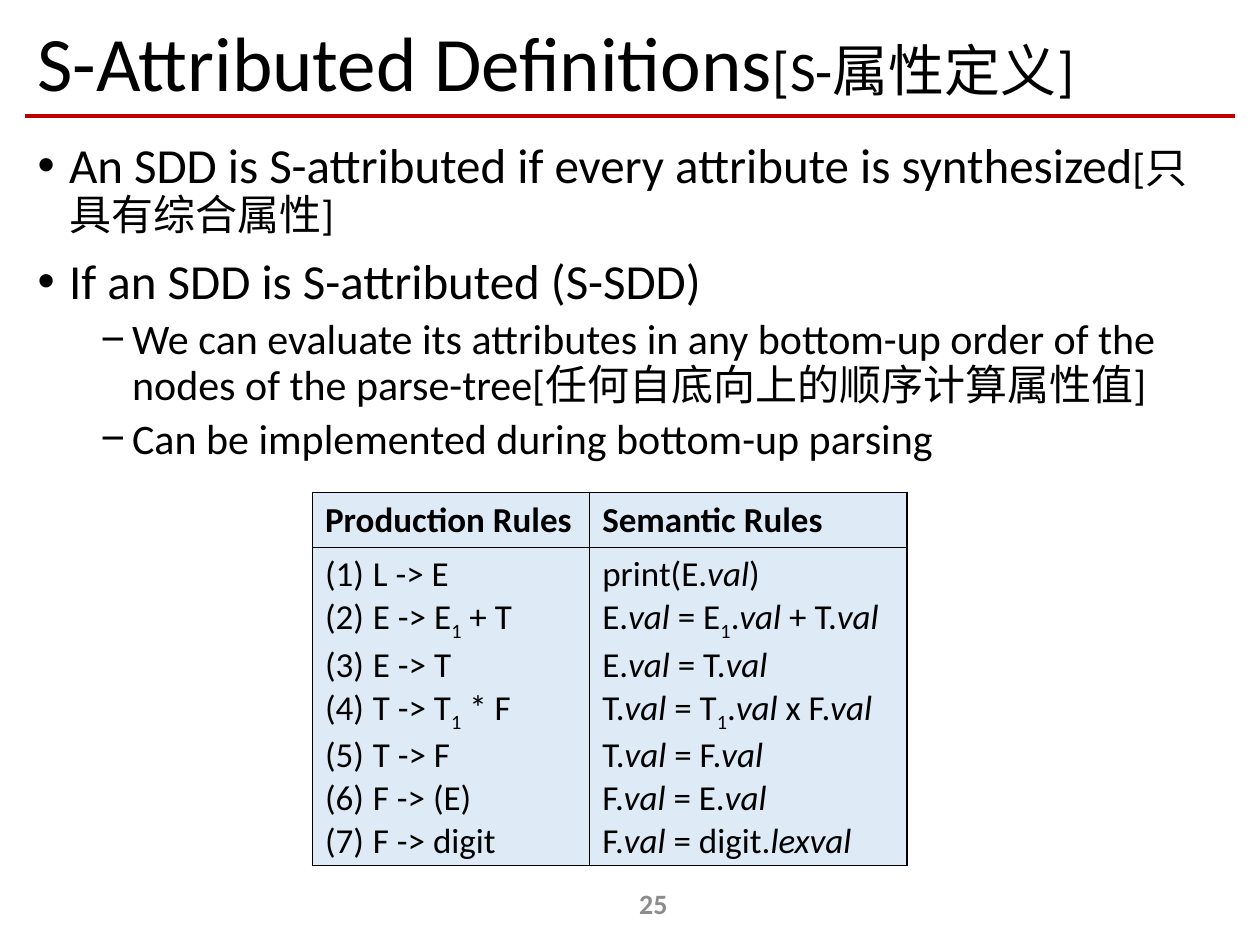
from lxml.etree import SubElement
from pptx import Presentation
from pptx.dml.color import RGBColor
from pptx.enum.shapes import MSO_CONNECTOR
from pptx.enum.text import MSO_ANCHOR, PP_ALIGN
from pptx.oxml.ns import qn
from pptx.util import Inches, Pt

BLACK = RGBColor(0x00, 0x00, 0x00)
RED = RGBColor(0xC0, 0x00, 0x00)
GRAY = RGBColor(0x8C, 0x8C, 0x8C)
PALE_BLUE = RGBColor(0xDE, 0xEB, 0xF7)
FONT = "Calibri"
MARGIN = 0.2
CONTENT_WIDTH = 9.61

BULLET = ("buChar", "char", "•")
DASH = ("buChar", "char", "−")
NUMBER = ("buAutoNum", "type", "arabicParenBoth")
POINT = dict(size=28, marker=BULLET, indent=0.25, hanging=0.25, before=10, spacing=0.9)
SUBPOINT = dict(size=24, marker=DASH, indent=0.75, hanging=0.25, before=5, spacing=0.9, level=1)

PRODUCTIONS = ["L -> E", "E -> E|_1| + T", "E -> T", "T -> T|_1| * F", "T -> F", "F -> (E)", "F -> digit"]
SEMANTICS = [
    "print(E.|/val|)",
    "E.|/val| = E|_1|.|/val| + T.|/val",
    "E.|/val| = T.|/val",
    "T.|/val| = T|_1|.|/val| x F.|/val",
    "T.|/val| = F.|/val",
    "F.|/val| = E.|/val",
    "F.|/val| = digit.|/lexval",
]


def add_run(paragraph, text, size, color, bold):
    run = paragraph.add_run()
    run.text = text.lstrip("_/")
    font = run.font
    font.name, font.size, font.bold = FONT, Pt(size), bold
    font.color.rgb = color
    if text.startswith("/"):
        font.italic = True
    if text.startswith("_"):
        run._r.get_or_add_rPr().set("baseline", "-25000")


def write_text(paragraph, text, size=20, color=BLACK, bold=False, align=None, spacing=None,
               before=None, marker=None, indent=0, hanging=0, level=0, note="", note_size=24):
    paragraph.level = level
    if align is not None:
        paragraph.alignment = align
    if spacing is not None:
        paragraph.line_spacing = spacing
    if before is not None:
        paragraph.space_before = Pt(before)
    if marker:
        tag, attribute, value = marker
        properties = paragraph._p.get_or_add_pPr()
        properties.set("marL", str(Inches(indent)))
        properties.set("indent", str(-Inches(hanging)))
        SubElement(properties, qn("a:buFont")).set("typeface", "Arial" if tag == "buChar" else "+mj-lt")
        SubElement(properties, qn(f"a:{tag}")).set(attribute, value)
    for piece in text.split("|"):
        add_run(paragraph, piece, size, color, bold)
    if note:
        add_run(paragraph, note, note_size, color, bold)


def write_paragraphs(frame, items):
    for index, (text, style) in enumerate(items):
        paragraph = frame.add_paragraph() if index else frame.paragraphs[0]
        write_text(paragraph, text, **style)


def add_text_box(slide, left, top, width, height, items, anchor=MSO_ANCHOR.TOP):
    shape = slide.shapes.add_textbox(Inches(left), Inches(top), Inches(width), Inches(height))
    shape.text_frame.word_wrap = True
    shape.text_frame.vertical_anchor = anchor
    write_paragraphs(shape.text_frame, items)


def add_rule(slide, left, right, top):
    line = slide.shapes.add_connector(
        MSO_CONNECTOR.STRAIGHT, Inches(left), Inches(top), Inches(right), Inches(top))
    line.line.color.rgb = RED
    line.line.width = Pt(2.5)
    SubElement(line._element.spPr, qn("a:effectLst"))


def format_cell(cell):
    cell.fill.solid()
    cell.fill.fore_color.rgb = PALE_BLUE
    properties = cell._tc.get_or_add_tcPr()
    for index, side in enumerate(("lnL", "lnR", "lnT", "lnB")):
        border = SubElement(properties, qn(f"a:{side}"), w=str(Pt(1)))
        fill = SubElement(border, qn("a:solidFill"))
        SubElement(fill, qn("a:srgbClr")).set("val", str(BLACK))
        properties.insert(index, border)


def add_rules_table(slide, left, top, widths, heights, columns):
    table = slide.shapes.add_table(
        len(heights), len(widths), Inches(left), Inches(top),
        Inches(sum(widths)), Inches(sum(heights))).table
    for row, height in zip(table.rows, heights):
        row.height = Inches(height)
    for index, (width, (heading, lines, style)) in enumerate(zip(widths, columns)):
        table.columns[index].width = Inches(width)
        contents = [[(heading, dict(bold=True))], [(line, style) for line in lines]]
        for row, items in enumerate(contents):
            cell = table.cell(row, index)
            format_cell(cell)
            write_paragraphs(cell.text_frame, items)


def main():
    presentation = Presentation()
    presentation.slide_width, presentation.slide_height = Inches(10), Inches(7.5)
    slide = presentation.slides.add_slide(presentation.slide_layouts[6])
    add_rule(slide, MARGIN, 10 - MARGIN, 0.92)
    add_text_box(slide, MARGIN, 0.13, CONTENT_WIDTH, 0.79, [
        ("S-Attributed Definitions", dict(size=44, spacing=0.9, note="[S-属性定义]", note_size=32)),
    ], anchor=MSO_ANCHOR.MIDDLE)
    add_text_box(slide, MARGIN, 1.07, CONTENT_WIDTH, 5.68, [
        ("An SDD is S-attributed if every attribute is synthesized", dict(POINT, note="[只具有综合属性]")),
        ("If an SDD is S-attributed (S-SDD)", POINT),
        ("We can evaluate its attributes in any bottom-up order of the nodes of the parse-tree"
         "[任何自底向上的顺序计算属性值]", SUBPOINT),
        ("Can be implemented during bottom-up parsing", SUBPOINT),
    ])
    add_text_box(slide, 4.06, 6.97, 2.25, 0.4, [
        ("25", dict(size=16, color=GRAY, bold=True, align=PP_ALIGN.CENTER)),
    ], anchor=MSO_ANCHOR.MIDDLE)
    add_rules_table(slide, 2.48, 3.91, (2.2, 2.52), (0.41, 2.46), [
        ("Production Rules", PRODUCTIONS, dict(marker=NUMBER, indent=0.38, hanging=0.38)),
        ("Semantic Rules", SEMANTICS, {}),
    ])
    presentation.save("out.pptx")


main()
